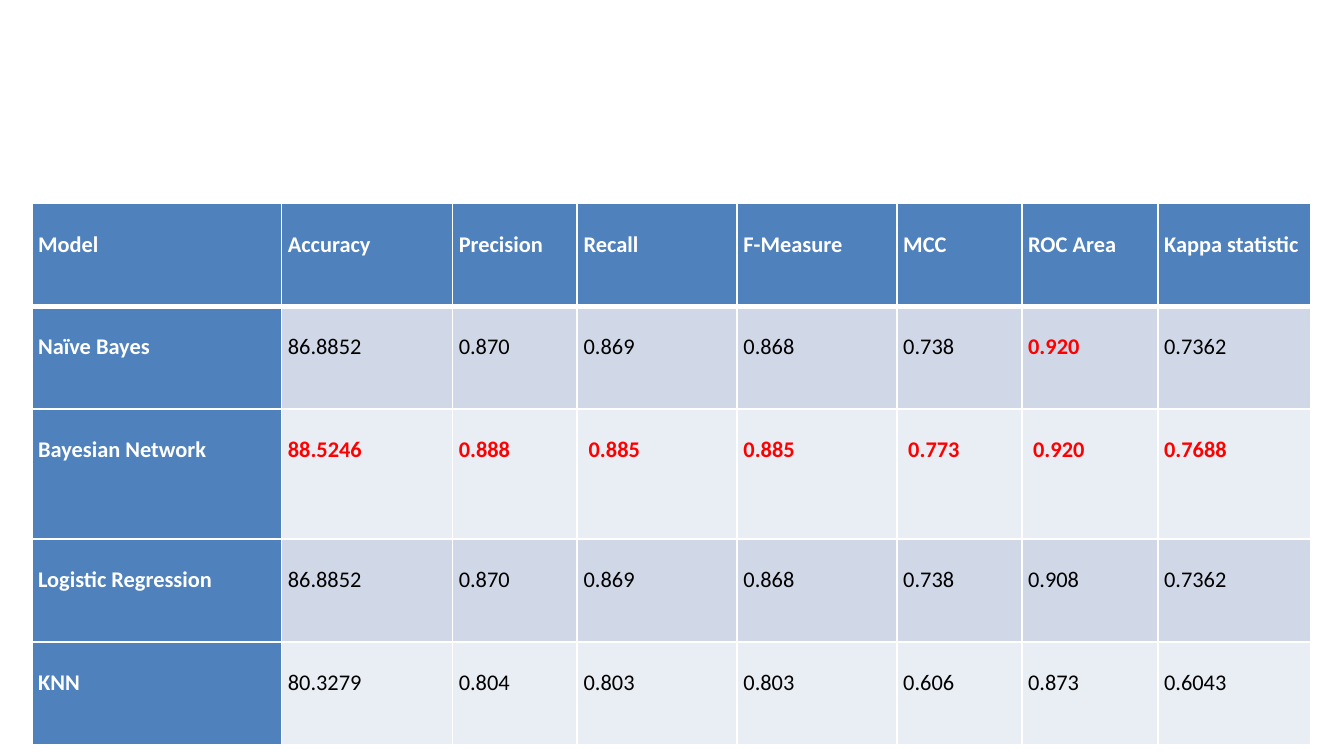
import dataclasses

import pptx
import pptx.dml.color
import pptx.enum.text
import pptx.oxml
import pptx.oxml.ns
import pptx.table
import pptx.util

Cm = pptx.util.Cm
Pt = pptx.util.Pt


@dataclasses.dataclass(frozen=True)
class Theme:
    font: str = "Calibri"
    text_size: float = 12
    heading_fill: str = "4F81BD"
    band_fills: tuple[str, str] = ("D0D8E8", "E9EDF4")
    heading_text: str = "FFFFFF"
    body_text: str = "000000"
    best_text: str = "FF0000"
    border: str = "FFFFFF"
    thin_line: float = 1
    thick_line: float = 3


@dataclasses.dataclass(frozen=True)
class Column:
    heading: str
    width: float


@dataclasses.dataclass(frozen=True)
class ModelScore:
    model: str
    values: tuple[str, ...]
    height: float = 1.94


THEME = Theme()
HEADER_HEIGHT = 1.94
TABLE_LEFT, TABLE_TOP = 0.6, 3.85

COLUMNS = [
    Column("Model", 4.72),
    Column("Accuracy", 3.23),
    Column("Precision", 2.36),
    Column("Recall", 3.02),
    Column("F-Measure", 3.02),
    Column("MCC", 2.36),
    Column("ROC Area", 2.57),
    Column("Kappa statistic", 2.9),
]

SCORES = [
    ModelScore("Naïve Bayes",
               ("86.8852", "0.870", "0.869", "0.868", "0.738", "0.920", "0.7362")),
    ModelScore("Bayesian Network",
               ("88.5246", "0.888", " 0.885", "0.885", " 0.773", " 0.920", "0.7688"),
               height=2.46),
    ModelScore("Logistic Regression",
               ("86.8852", "0.870", "0.869", "0.868", "0.738", "0.908", "0.7362")),
    ModelScore("KNN",
               ("80.3279", "0.804", "0.803", "0.803", "0.606", "0.873", "0.6043")),
]


def set_attributes(target: object, values: dict[str, object]) -> None:
    for name, value in values.items():
        setattr(target, name, value)


def add_borders(cell: pptx.table._Cell, top: float, bottom: float) -> None:
    """Draw the four cell edges; must run before the fill is set."""
    properties = cell._tc.get_or_add_tcPr()
    widths = {"lnL": THEME.thin_line, "lnR": THEME.thin_line, "lnT": top, "lnB": bottom}
    for edge, width in widths.items():
        properties.append(pptx.oxml.parse_xml(
            f'<a:{edge} {pptx.oxml.ns.nsdecls("a")} w="{Pt(width)}">'
            f'<a:solidFill><a:srgbClr val="{THEME.border}"/></a:solidFill></a:{edge}>'))


def fill_cell(cell: pptx.table._Cell, text: str, fill: str, color: str, bold: bool) -> None:
    set_attributes(cell, {
        "margin_left": Cm(0.12), "margin_right": Cm(0.12),
        "margin_top": 0, "margin_bottom": 0,
        "vertical_anchor": pptx.enum.text.MSO_ANCHOR.TOP,
    })
    cell.fill.solid()
    cell.fill.fore_color.rgb = pptx.dml.color.RGBColor.from_string(fill)
    para = cell.text_frame.paragraphs[0]
    set_attributes(para, {
        "alignment": pptx.enum.text.PP_ALIGN.JUSTIFY,
        "line_spacing": 2.0, "space_before": Pt(11),
    })
    span = para.add_run()
    span.text = text
    set_attributes(span.font, {"name": THEME.font, "size": Pt(THEME.text_size), "bold": bold})
    span.font.color.rgb = pptx.dml.color.RGBColor.from_string(color)


def add_score_table(page: pptx.slide.Slide) -> None:
    """Add the comparison table, marking the best value of each measure."""
    heights = [HEADER_HEIGHT] + [score.height for score in SCORES]
    table = page.shapes.add_table(
        len(heights), len(COLUMNS), Cm(TABLE_LEFT), Cm(TABLE_TOP),
        Cm(sum(column.width for column in COLUMNS)), Cm(sum(heights))).table
    set_attributes(table, {"first_col": True})
    for table_column, column in zip(table.columns, COLUMNS):
        table_column.width = Cm(column.width)
    for table_row, height in zip(table.rows, heights):
        table_row.height = Cm(height)

    best = [max(map(float, values)) for values in zip(*(score.values for score in SCORES))]
    rows = [[column.heading for column in COLUMNS]]
    rows += [[score.model, *score.values] for score in SCORES]
    for row, texts in enumerate(rows):
        for col, text in enumerate(texts):
            cell = table.cell(row, col)
            add_borders(cell,
                        top=THEME.thick_line if row == 1 else THEME.thin_line,
                        bottom=THEME.thick_line if row == 0 else THEME.thin_line)
            if row == 0 or col == 0:
                fill_cell(cell, text, THEME.heading_fill, THEME.heading_text, True)
            else:
                is_best = float(text) == best[col - 1]
                color = THEME.best_text if is_best else THEME.body_text
                fill_cell(cell, text, THEME.band_fills[(row - 1) % 2], color, is_best)


def main() -> None:
    deck = pptx.Presentation()
    set_attributes(deck, {"slide_width": Cm(25.4), "slide_height": Cm(14.29)})
    page = deck.slides.add_slide(deck.slide_layouts[6])
    add_score_table(page)
    deck.save("out.pptx")


if __name__ == "__main__":
    main()
